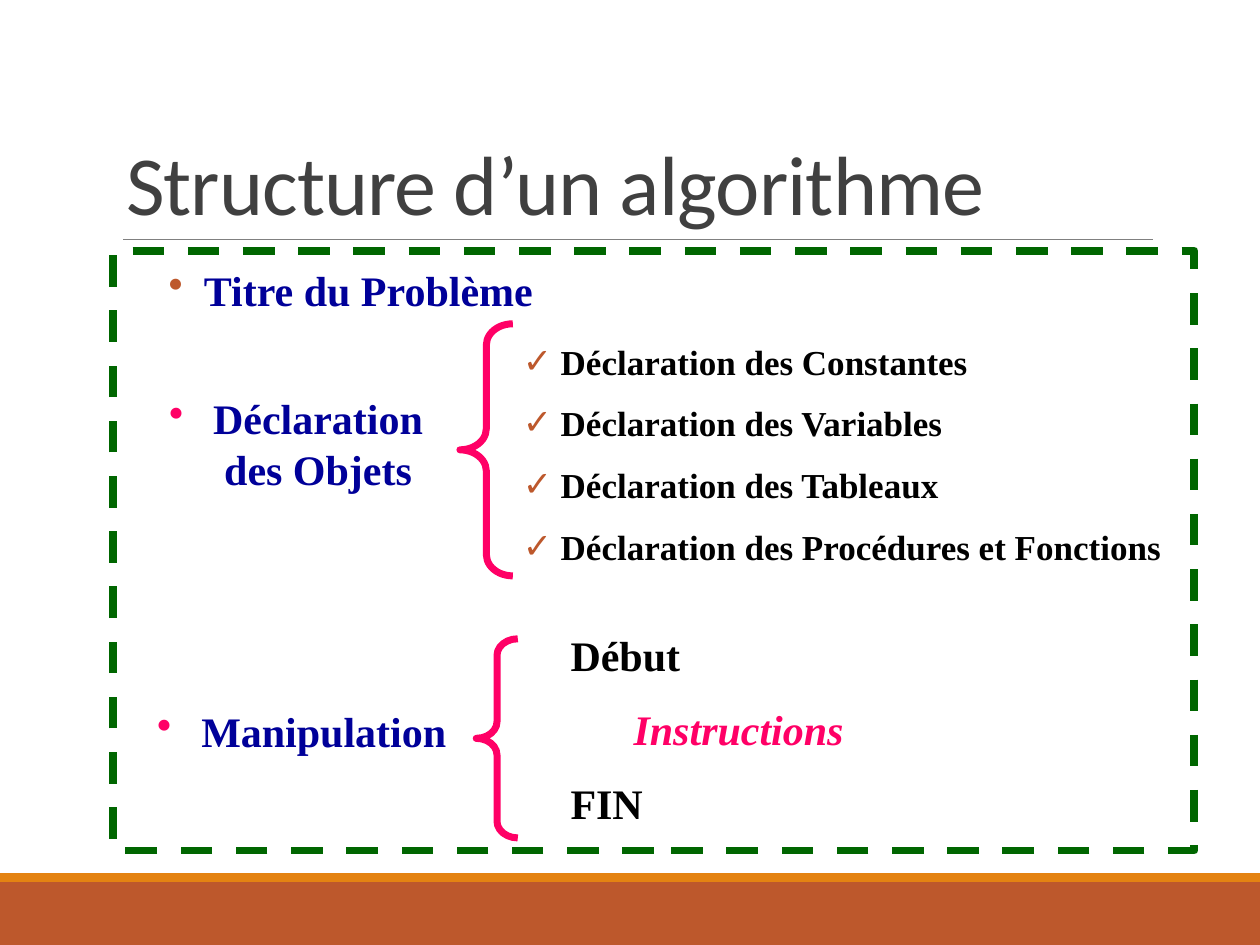
from lxml import etree
from pptx import Presentation, util as u
from pptx.dml.color import RGBColor
from pptx.enum import dml, shapes, text
from pptx.oxml import ns

RUST = RGBColor(0xBD, 0x58, 0x2C)
AMBER = RGBColor(0xE4, 0x83, 0x12)
GRAY = RGBColor(0x80, 0x80, 0x80)
DARK = RGBColor(0x40, 0x40, 0x40)
GREEN = RGBColor(0x00, 0x66, 0x00)
PINK = RGBColor(0xFF, 0x00, 0x66)
NAVY = RGBColor(0x00, 0x00, 0x99)
BLACK = RGBColor(0, 0, 0)

deck = Presentation()
deck.slide_width, deck.slide_height = u.Inches(10), u.Inches(7.5)
slide = deck.slides.add_slide(deck.slide_layouts[1])
items = slide.shapes
kinds = shapes.MSO_SHAPE
left, center = text.PP_ALIGN.LEFT, text.PP_ALIGN.CENTER


def area(x, y, w, h):
    wide, high = deck.slide_width / 100, deck.slide_height / 100
    return [round(n) for n in (x * wide, y * high, w * wide, h * high)]


def write(frame, row, words, size, color, align=left, mark=None, tint=None, inset=0):
    para = frame.paragraphs[0] if row == 0 else frame.add_paragraph()
    para.alignment = align
    para.space_before = u.Pt(size * 0.56 if row else 0)
    run = para.add_run()
    run.text = words
    font = run.font
    font.name, font.size, font.bold = "Times New Roman", u.Pt(size), True
    font.color.rgb = color
    prop = para._p.get_or_add_pPr()
    prop.set("marL", str(u.Inches(inset)))
    prop.set("indent", str(-u.Inches(inset) if mark else 0))
    if mark:
        tone = etree.SubElement(prop, ns.qn("a:buClr"))
        etree.SubElement(tone, ns.qn("a:srgbClr"), val=str(tint))
        etree.SubElement(prop, ns.qn("a:buChar"), char=mark)
    return font


for color, top, high in [(RUST, 93.33, 6.67), (AMBER, 92.4, 0.93)]:
    bar = items.add_shape(kinds.RECTANGLE, *area(0, top, 100, high))
    bar.shadow.inherit = False
    bar.fill.solid()
    bar.fill.fore_color.rgb = color
    bar.line.fill.background()

start, level, end, _ = area(9.8, 25.33, 91.5, 0)
rule = items.add_connector(shapes.MSO_CONNECTOR.STRAIGHT, start, level, end, level)
rule.line.color.rgb = GRAY
rule.line.width = u.Pt(0.5)
etree.SubElement(rule._element.spPr, ns.qn("a:effectLst"))

title = items.title
title.left, title.top, title.width, title.height = area(9, 4.13, 82.5, 21.2)
title.text_frame.vertical_anchor = text.MSO_ANCHOR.BOTTOM
para = title.text_frame.paragraphs[0]
para.alignment = left
para.line_spacing = 0.85
run = para.add_run()
run.text = "Structure d’un algorithme"
run.font.name, run.font.size = "Calibri", u.Pt(48)
run.font.color.rgb = DARK
run._r.get_or_add_rPr().set("spc", "-50")

for kind, spot, color, width, curve in [
    (kinds.RECTANGLE, (9, 26.53, 85.8, 63.47), GREEN, 4.5, None),
    (kinds.LEFT_BRACE, (36.5, 34.27, 4.2, 26.67), PINK, 4, 0.4),
    (kinds.LEFT_BRACE, (37.8, 67.6, 3.3, 21.07), PINK, 4, 0.4),
]:
    shape = items.add_shape(kind, *area(*spot))
    shape.shadow.inherit = False
    shape.fill.background()
    shape.line.color.rgb = color
    shape.line.width = u.Pt(width)
    if curve:
        shape.adjustments[0] = curve
    else:
        shape.line.dash_style = dml.MSO_LINE.DASH

body = slide.placeholders[1]
body.left, body.top, body.width, body.height = area(40.5, 35.33, 53.3, 25.73)
body.text_frame.auto_size = text.MSO_AUTO_SIZE.NONE
for row, part in enumerate(["Constantes", "Variables", "Tableaux", "Procédures et Fonctions"]):
    write(body.text_frame, row, f"Déclaration des {part}", 20, BLACK, mark="✓", tint=RUST, inset=0.3)

code = items.add_textbox(*area(44.3, 66, 39, 22.93)).text_frame
code.word_wrap = True
for row, (words, color, inset) in enumerate(
    [("Début", BLACK, 0), ("Instructions", PINK, 0.5), ("FIN", BLACK, 0)]
):
    font = write(code, row, words, 24, color, inset=inset)
    font.italic = color == PINK

for words, spot, align, tint, inset in [
    ("Déclaration des Objets", (11, 40.93, 25, 12), center, PINK, 0.35),
    ("Manipulation", (10.6, 74, 26.7, 6.67), center, PINK, 0.35),
    ("Titre du Problème", (12.4, 27.33, 44.2, 6.67), left, RUST, 0.28),
]:
    frame = items.add_textbox(*area(*spot)).text_frame
    frame.word_wrap = True
    write(frame, 0, words, 24, NAVY, align, "•", tint, inset)

deck.save("out.pptx")
